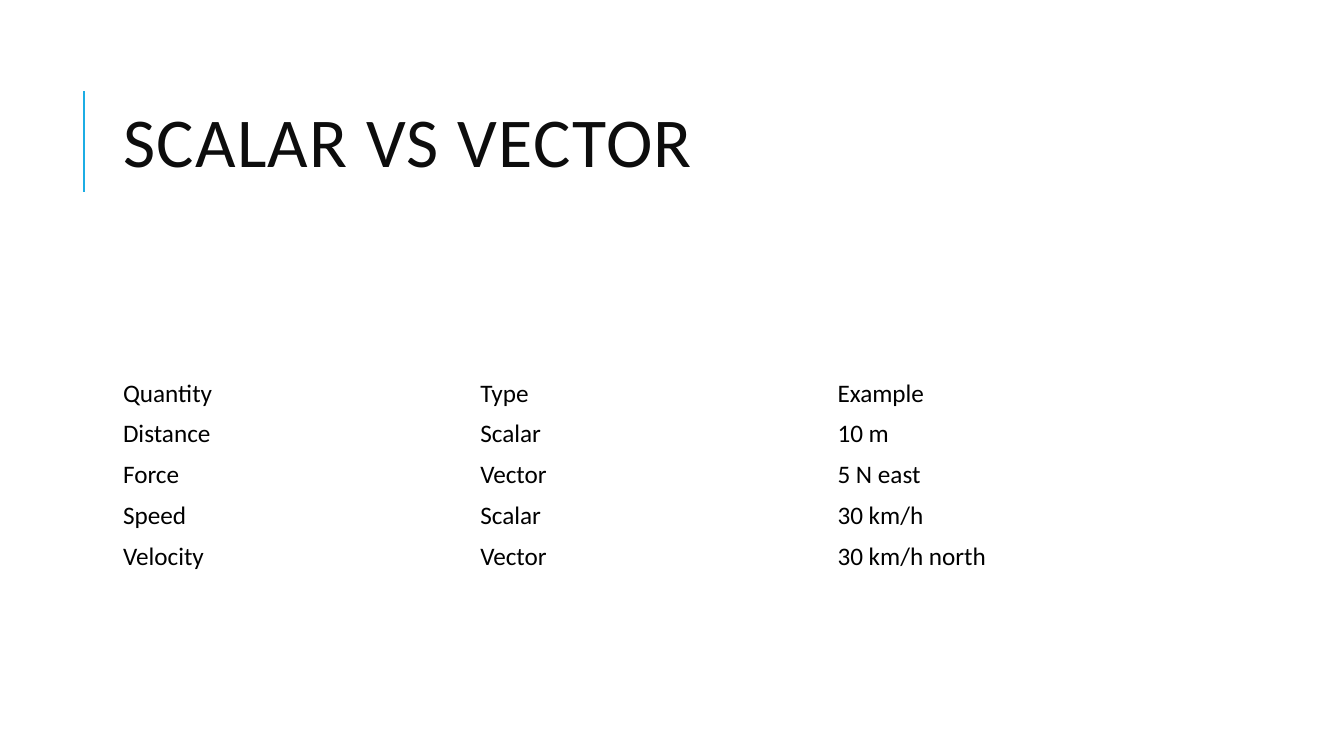
"""Build the slide that compares scalar and vector quantities."""
import pptx
import pptx.dml.color
import pptx.enum.shapes
import pptx.enum.text
import pptx.oxml
import pptx.util
from pptx.util import Inches

ACCENT = pptx.dml.color.RGBColor(0x1C, 0xAD, 0xE4)
TITLE_INK = pptx.dml.color.RGBColor(0x0D, 0x0D, 0x0D)
TABLE_INK = pptx.dml.color.RGBColor(0x00, 0x00, 0x00)
LEFT, WIDTH = Inches(1.12), Inches(10.63)
ROW_HEIGHT = Inches(0.4)
ROWS = [
    ("Quantity", "Type", "Example"),
    ("Distance", "Scalar", "10 m"),
    ("Force", "Vector", "5 N east"),
    ("Speed", "Scalar", "30 km/h"),
    ("Velocity", "Vector", "30 km/h north"),
]


def format_font(font, size, color):
    values = {"name": "Calibri", "size": pptx.util.Pt(size), "bold": False}
    for name, value in values.items():
        setattr(font, name, value)
    font.color.rgb = color


deck = pptx.Presentation()
deck.slide_width, deck.slide_height = Inches(13.33), Inches(7.5)
page = deck.slides.add_slide(deck.slide_layouts[5])

rule = page.shapes.add_connector(
    pptx.enum.shapes.MSO_CONNECTOR.STRAIGHT,
    Inches(0.83), Inches(1.9), Inches(0.83), Inches(0.9))
rule.line.color.rgb = ACCENT
rule.line.width = pptx.util.Pt(1.5)
rule.element.spPr.append(pptx.oxml.parse_xml(
    '<a:effectLst xmlns:a="http://schemas.openxmlformats.org/drawingml/2006/main"/>'))

title = page.shapes.title
placement = {"left": LEFT, "top": Inches(0.64), "width": WIDTH, "height": Inches(1.64)}
for name, value in placement.items():
    setattr(title, name, value)
frame = title.text_frame
frame.auto_size = pptx.enum.text.MSO_AUTO_SIZE.NONE
frame.vertical_anchor = pptx.enum.text.MSO_ANCHOR.MIDDLE
para = frame.paragraphs[0]
para.alignment = pptx.enum.text.PP_ALIGN.LEFT
para.line_spacing = 0.8
span = para.add_run()
span.text = "SCALAR VS VECTOR"
format_font(span.font, 50, TITLE_INK)
span.font._element.set("spc", "100")

table = page.shapes.add_table(
    len(ROWS), len(ROWS[0]), LEFT, Inches(3.7), WIDTH, ROW_HEIGHT * len(ROWS)).table
table.first_row = False
table.horz_banding = False
for row, texts in zip(table.rows, ROWS):
    for cell, text in zip(row.cells, texts):
        cell.fill.background()
        cell.vertical_anchor = pptx.enum.text.MSO_ANCHOR.MIDDLE
        span = cell.text_frame.paragraphs[0].add_run()
        span.text = text
        format_font(span.font, 18, TABLE_INK)

deck.save("out.pptx")
